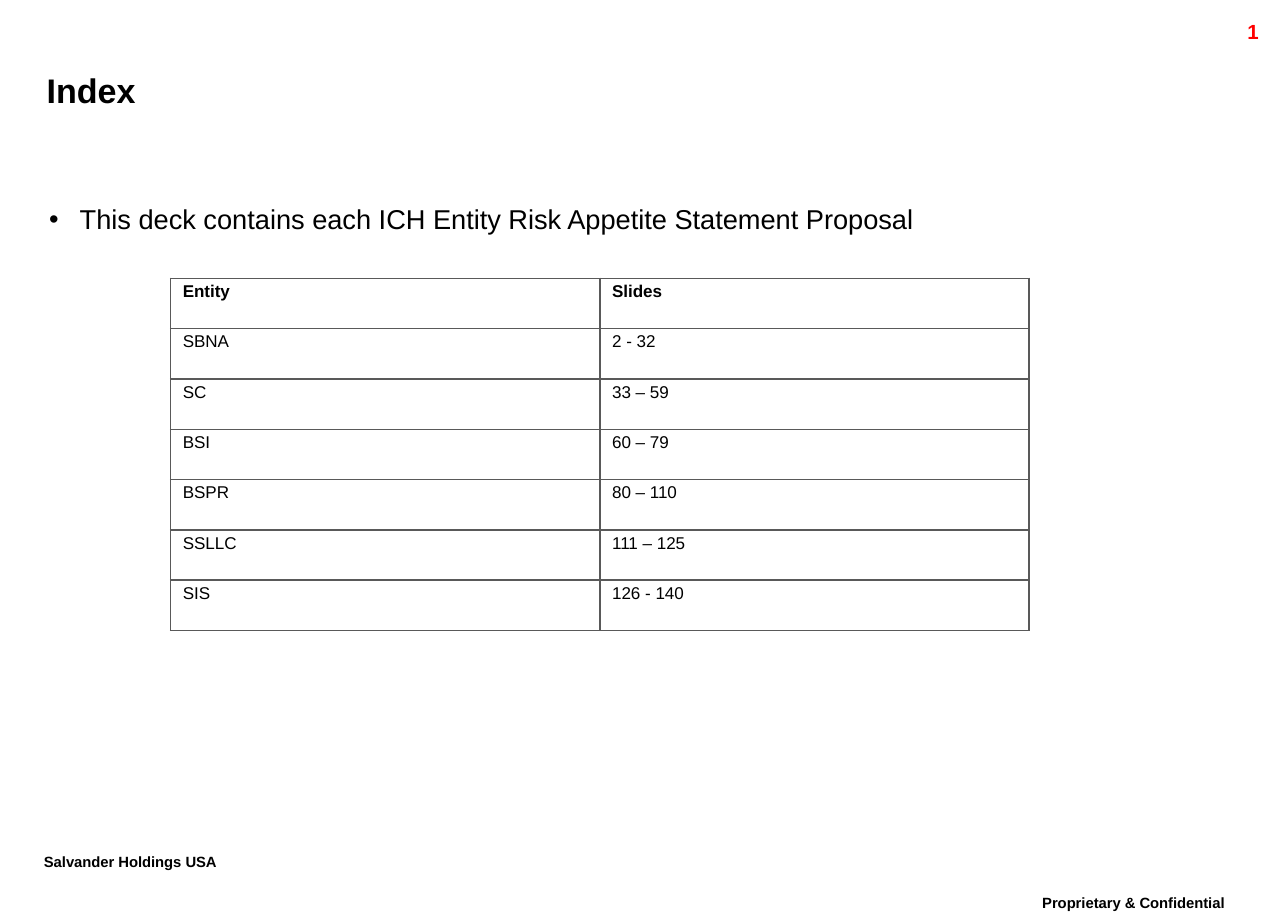
import pptx
import pptx.util
import pptx.dml.color
import pptx.enum.text
import pptx.oxml
import pptx.oxml.ns
from lxml import etree

TITLE = "Index"
STATEMENT = "This deck contains each ICH Entity Risk Appetite Statement Proposal"
PAGE_NUMBER = "1"
COMPANY = "Salvander Holdings USA"
CONFIDENTIALITY = "Proprietary & Confidential"
ENTITY_ROWS = [
    ("Entity", "Slides"),
    ("SBNA", "2 - 32"),
    ("SC", "33 – 59"),
    ("BSI", "60 – 79"),
    ("BSPR", "80 – 110"),
    ("SSLLC", "111 – 125"),
    ("SIS", "126 - 140"),
]

COLORS = {"text": "000000", "number": "FF0000", "border": "595959"}
FONT = "Arial"
SLIDE_WIDTH, SLIDE_HEIGHT = 10.5, 7.5
LEFT_MARGIN = 0.38
COLUMN_WIDTH, ROW_HEIGHT = 3.5, 0.41
TABLE_LEFT, TABLE_TOP = 1.39, 2.27
LINE_SPACING = 0.86
ALIGN = pptx.enum.text.PP_ALIGN
ANCHOR = pptx.enum.text.MSO_ANCHOR
Inches = pptx.util.Inches
Pt = pptx.util.Pt


def place(shape, left, top, width, height):
    shape.left, shape.top = Inches(left), Inches(top)
    shape.width, shape.height = Inches(width), Inches(height)


def set_margins(frame, left, top, right, bottom):
    frame.margin_left, frame.margin_top = Inches(left), Inches(top)
    frame.margin_right, frame.margin_bottom = Inches(right), Inches(bottom)


def write(paragraph, text, size, bold=False, color="text", align=ALIGN.LEFT, spacing=1.0):
    paragraph.alignment = align
    paragraph.line_spacing = spacing
    paragraph.space_before = Pt(0)
    run = paragraph.add_run()
    run.text = text
    run.font.name = FONT
    run.font.size = Pt(size)
    run.font.bold = bold
    run.font.color.rgb = pptx.dml.color.RGBColor.from_string(COLORS[color])
    return run


def add_label(slide, box, wrap=True):
    frame = slide.shapes.add_textbox(*map(Inches, box)).text_frame
    frame.word_wrap = wrap
    return frame.paragraphs[0]


def add_footer(slide, text, box, align, wrap):
    paragraph = add_label(slide, box, wrap)
    run = write(paragraph, text, 15, True, align=align, spacing=LINE_SPACING)
    run.font._element.set("baseline", "30000")


def add_bullet(paragraph, indent):
    properties = paragraph._p.get_or_add_pPr()
    properties.set("marL", str(Inches(indent)))
    properties.set("indent", str(-Inches(indent)))
    bullet = etree.SubElement(properties, pptx.oxml.ns.qn("a:buChar"))
    bullet.set("char", "•")


def add_borders(cell):
    properties = cell._tc.get_or_add_tcPr()
    for side in ("lnL", "lnR", "lnT", "lnB"):
        properties.append(pptx.oxml.parse_xml(
            f'<a:{side} {pptx.oxml.ns.nsdecls("a")} w="{Pt(1)}"><a:solidFill>'
            f'<a:srgbClr val="{COLORS["border"]}"/></a:solidFill></a:{side}>'))


def add_entity_table(slide):
    row_count, column_count = len(ENTITY_ROWS), len(ENTITY_ROWS[0])
    table = slide.shapes.add_table(
        row_count, column_count, Inches(TABLE_LEFT), Inches(TABLE_TOP),
        Inches(COLUMN_WIDTH * column_count), Inches(ROW_HEIGHT * row_count)).table
    table.horz_banding = False
    for column in table.columns:
        column.width = Inches(COLUMN_WIDTH)
    for row_index, values in enumerate(ENTITY_ROWS):
        table.rows[row_index].height = Inches(ROW_HEIGHT)
        for column_index, value in enumerate(values):
            cell = table.cell(row_index, column_index)
            add_borders(cell)
            cell.fill.background()
            write(cell.text_frame.paragraphs[0], value, 10, row_index == 0,
                  spacing=LINE_SPACING)


def main():
    presentation = pptx.Presentation()
    presentation.slide_width = Inches(SLIDE_WIDTH)
    presentation.slide_height = Inches(SLIDE_HEIGHT)
    slide = presentation.slides.add_slide(presentation.slide_layouts[1])

    title, body = slide.shapes.title, slide.placeholders[1]
    place(title, LEFT_MARGIN, 0.49, 9.48, 0.48)
    place(body, LEFT_MARGIN, 1.6, 9.66, 5.46)
    for shape, anchor in ((title, ANCHOR.MIDDLE), (body, ANCHOR.TOP)):
        shape.text_frame.vertical_anchor = anchor
        shape.text_frame.auto_size = pptx.enum.text.MSO_AUTO_SIZE.NONE
    set_margins(title.text_frame, 0, 0, 0, 0)
    set_margins(body.text_frame, 0.02, 0.05, 0.1, 0.05)
    write(title.text_frame.paragraphs[0], TITLE, 20, True)
    statement = body.text_frame.paragraphs[0]
    add_bullet(statement, 0.25)
    write(statement, STATEMENT, 16)

    add_entity_table(slide)
    number = add_label(slide, (9.36, 0.11, 1, 0.24))
    write(number, PAGE_NUMBER, 12, True, "number", ALIGN.RIGHT)
    add_footer(slide, COMPANY, (0.26, 6.91, 1.91, 0.32), ALIGN.LEFT, False)
    add_footer(slide, CONFIDENTIALITY, (8.15, 7.25, 2.18, 0.32), ALIGN.CENTER, True)
    presentation.save("out.pptx")


if __name__ == "__main__":
    main()
